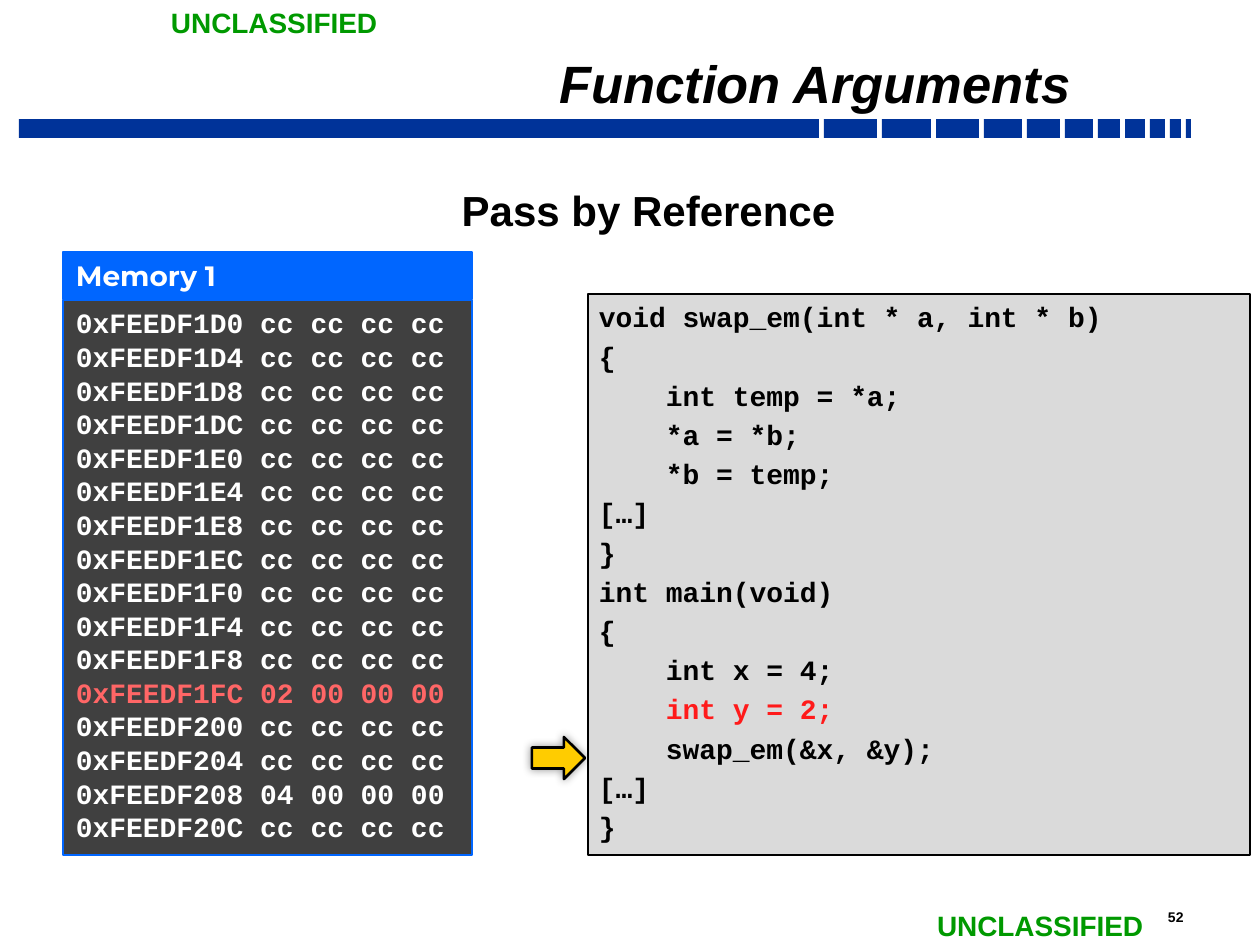
from dataclasses import dataclass

from lxml import etree
from pptx import Presentation
from pptx import util as u
from pptx.dml.color import RGBColor
from pptx.enum import shapes, text
from pptx.oxml.ns import qn

PX_PER_INCH = 126


@dataclass(frozen=True)
class Theme:
    sans: str = "Arial"
    mono: str = "Courier New"
    display: str = "Montserrat"
    black: str = "000000"
    white: str = "FFFFFF"
    marking: str = "009900"
    rule: str = "003399"
    panel_head: str = "0066FF"
    panel: str = "404040"
    panel_hit: str = "FF6666"
    code: str = "DADADA"
    code_hit: str = "FF1A1A"
    arrow: str = "FFCC00"
    title_size: int = 30
    heading_size: int = 24
    body_size: int = 16
    number_size: int = 8


T = Theme()
WIDE_INSET = (13, 6)
TIGHT_INSET = (11, 6)

RULE_WIDTHS = [800, 53, 49, 43, 38, 33, 28, 22, 20, 15, 11, 5]
RULE_GAP = 5

FIRST_ADDRESS = 0xFEEDF1D0
WORD_SIZE = 4
WORD_COUNT = 16
STORED_WORDS = {0xFEEDF1FC: "02 00 00 00", 0xFEEDF208: "04 00 00 00"}
CHANGED_ADDRESS = 0xFEEDF1FC

CODE = """\
void swap_em(int * a, int * b)
{
    int temp = *a;
    *a = *b;
    *b = temp;
[…]
}
int main(void)
{
    int x = 4;
    int y = 2;
    swap_em(&x, &y);
[…]
}"""
CURRENT_LINE = "    int y = 2;"


def px(n):
    return u.Emu(round(n * u.Inches(1) / PX_PER_INCH))


def rgb(value):
    return RGBColor.from_string(value)


def write(sp, lines, size, font=T.sans, color=T.black, inset=WIDE_INSET,
          anchor=text.MSO_ANCHOR.TOP, align=text.PP_ALIGN.LEFT, italic=False,
          wrap=True, gap=0, spacing=None, hits=None):
    """Fill sp with bold lines; hits maps a line to its own colour."""
    tf = sp.text_frame
    tf.word_wrap = wrap
    tf.vertical_anchor = anchor
    tf.margin_left = tf.margin_right = px(inset[0])
    tf.margin_top = tf.margin_bottom = px(inset[1])
    for i, line in enumerate(lines):
        p = tf.add_paragraph() if i else tf.paragraphs[0]
        p.add_run().text = line
        p.alignment = align
        if spacing:
            p.line_spacing = spacing
        if i and gap:
            p.space_before = u.Pt(gap)
        p.font.name, p.font.size = font, u.Pt(size)
        p.font.bold, p.font.italic = True, italic
        p.font.color.rgb = rgb((hits or {}).get(line, color))


def add_text(s, box, line, size, **style):
    sp = s.shapes.add_textbox(*map(px, box))
    write(sp, [line], size, **style)


def add_box(s, box, fill, line=None, width=1, kind=shapes.MSO_SHAPE.RECTANGLE):
    sp = s.shapes.add_shape(kind, *map(px, box))
    sp.shadow.inherit = False
    sp.fill.solid()
    sp.fill.fore_color.rgb = rgb(fill)
    if line:
        sp.line.color.rgb = rgb(line)
        sp.line.width = u.Pt(width)
    else:
        sp.line.fill.background()
    return sp


def add_glow_shadow(sp, color, blur, alpha):
    """Give sp a centred soft shadow; blur in points, alpha in percent."""
    effects = sp._element.spPr.find(qn("a:effectLst"))
    shadow = etree.SubElement(effects, qn("a:outerShdw"), blurRad=str(u.Pt(blur)),
                              dist="0", dir="0", algn="ctr", rotWithShape="0")
    clr = etree.SubElement(shadow, qn("a:srgbClr"), val=color)
    etree.SubElement(clr, qn("a:alpha"), val=str(alpha * 1000))


def add_rule(s):
    left = 19
    for width in RULE_WIDTHS:
        add_box(s, (left, 119, width, 19), T.rule)
        left += width + RULE_GAP


def add_frame(s):
    add_rule(s)
    add_text(s, (1155, 903, 68, 29), "52", T.number_size)
    for left, top in ((158, 0), (924, 903)):
        add_text(s, (left, top, 234, 47), "UNCLASSIFIED", T.body_size,
                 color=T.marking, wrap=False)


def add_headings(s):
    add_text(s, (210, 44, 872, 74), "Function Arguments", T.title_size,
             inset=TIGHT_INSET, anchor=text.MSO_ANCHOR.BOTTOM,
             align=text.PP_ALIGN.RIGHT, italic=True, spacing=0.7)
    add_text(s, (77, 179, 1143, 60), "Pass by Reference", T.heading_size,
             inset=TIGHT_INSET, align=text.PP_ALIGN.CENTER)


def memory_line(address):
    return f"0x{address:08X} {STORED_WORDS.get(address, 'cc cc cc cc')}"


def add_memory(s):
    head = add_box(s, (63, 252, 409, 47), T.panel_head, T.panel_head, 0.75)
    write(head, ["Memory 1"], T.body_size, font=T.display, color=T.white,
          anchor=text.MSO_ANCHOR.MIDDLE)
    body = add_box(s, (63, 300, 409, 555), T.panel, T.panel_head, 0.75)
    lines = [memory_line(FIRST_ADDRESS + i * WORD_SIZE) for i in range(WORD_COUNT)]
    write(body, lines, T.body_size, font=T.mono, color=T.white,
          hits={memory_line(CHANGED_ADDRESS): T.panel_hit})


def add_code(s):
    arrow = add_box(s, (532, 737, 53, 42), T.arrow, T.black, 1.5,
                    shapes.MSO_SHAPE.RIGHT_ARROW)
    add_glow_shadow(arrow, T.black, blur=5, alpha=40)
    sp = add_box(s, (588, 294, 662, 561), T.code, T.black)
    write(sp, CODE.split("\n"), T.body_size, font=T.mono, inset=TIGHT_INSET,
          gap=3.2, hits={CURRENT_LINE: T.code_hit})


def main():
    prs = Presentation()
    prs.slide_width, prs.slide_height = u.Inches(10), u.Inches(7.5)
    s = prs.slides.add_slide(prs.slide_layouts[6])
    add_frame(s)
    add_headings(s)
    add_memory(s)
    add_code(s)
    prs.save("out.pptx")


if __name__ == "__main__":
    main()
